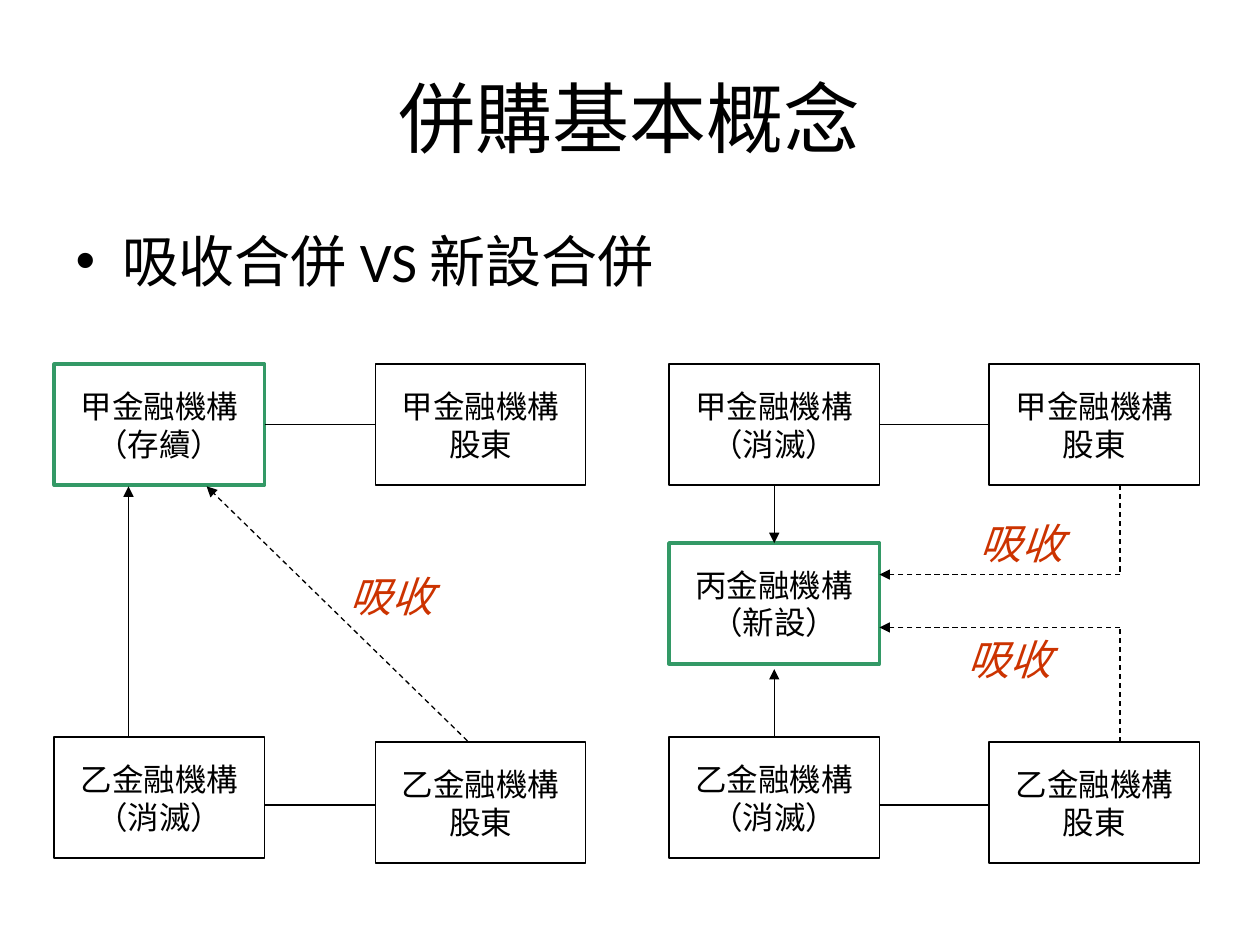
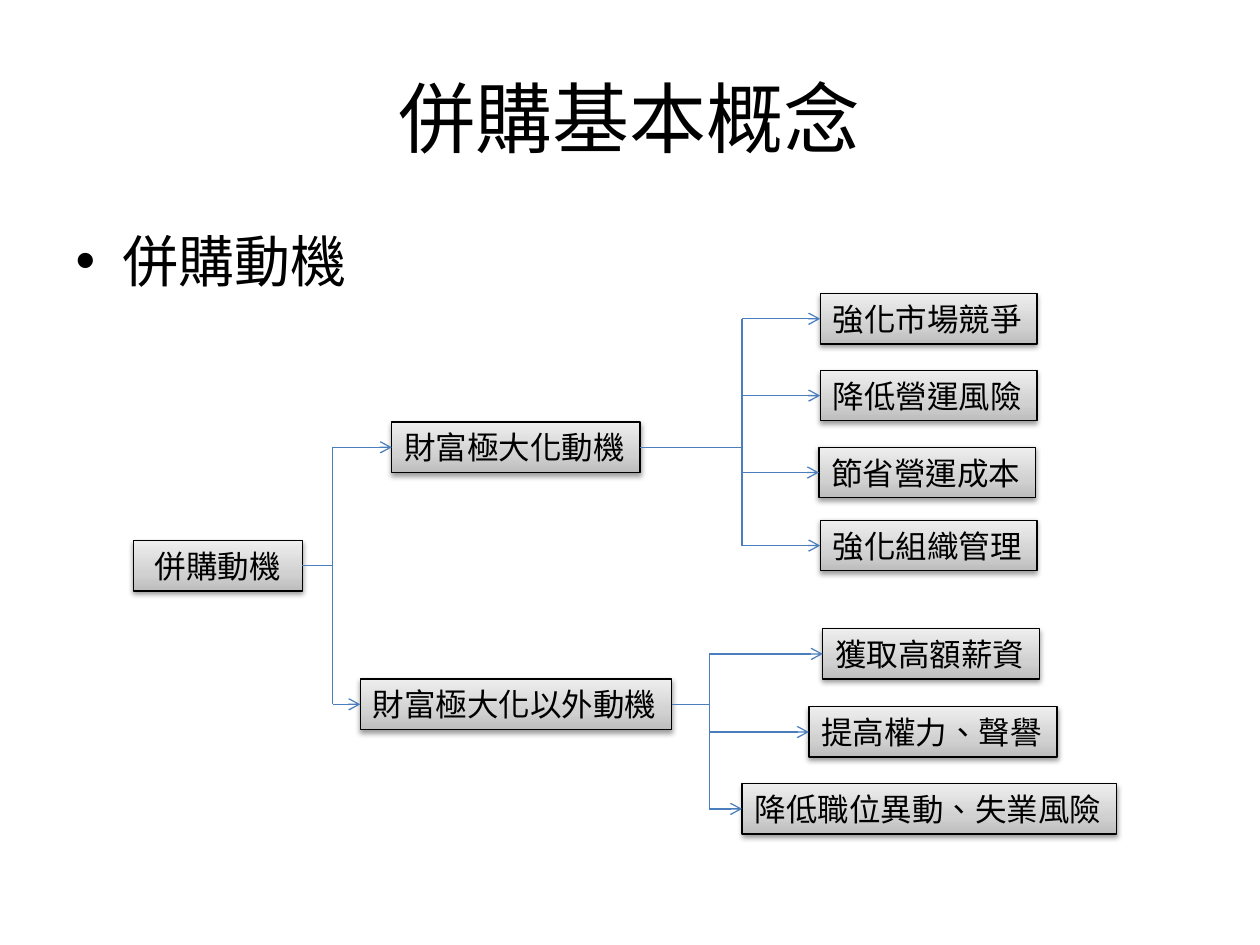
from dataclasses import dataclass

from lxml.etree import SubElement
from pptx import Presentation
from pptx.dml.color import RGBColor
from pptx.enum.dml import MSO_LINE
from pptx.enum.shapes import MSO_CONNECTOR, MSO_SHAPE
from pptx.enum.text import MSO_ANCHOR, MSO_AUTO_SIZE, PP_ALIGN
from pptx.oxml.ns import qn
from pptx.util import Inches, Pt


@dataclass(frozen=True)
class Theme:
    ink: str = "000000"
    paper: str = "FFFFFF"
    survivor: str = "339966"
    absorb: str = "CC3300"
    branch: str = "4B7EBC"
    gradient: tuple = ((0, "BDBDBD"), (35, "D1D1D1"), (100, "EEEEEE"))
    font: str = "Calibri"
    diagram_font: str = "Noto Sans CJK SC"
    language: str = "zh-TW"
    title_size: int = 44
    body_size: int = 32
    label_size: int = 24
    box_size: int = 18
    thin: float = 0.75
    thick: float = 2


@dataclass(frozen=True)
class Joint:
    box: object
    side: int


THEME = Theme()
TOP, LEFT, BOTTOM, RIGHT = range(4)
WIDTH, HEIGHT = Inches(10), Inches(7.5)
COLUMNS, ROWS = 100, 75
BOX_WIDTH, BOX_HEIGHT = 16.7, 9.6
LABEL_WIDTH, LABEL_HEIGHT = 9.3, 3.4
NODE_HEIGHT = 4
SHARED_TITLE = "併購基本概念"


def across(columns):
    return round(WIDTH * columns / COLUMNS)


def down(rows):
    return round(HEIGHT * rows / ROWS)


def frame(left, top, width, height):
    return across(left), down(top), across(width), down(height)


def color(value):
    return RGBColor.from_string(value)


def write(text_frame, text, size, font=THEME.font, ink=THEME.ink,
          align=None, italic=None, wrap=True):
    text_frame.word_wrap = wrap
    for index, line in enumerate(text.split("\n")):
        para = text_frame.paragraphs[0] if index == 0 else text_frame.add_paragraph()
        para.alignment = align
        para.space_before = Pt(0)
        span = para.add_run()
        span.text = line
        span.font.size = Pt(size)
        span.font.name = font
        span.font.italic = italic
        span.font.color.rgb = color(ink)
        span.font._element.set("lang", THEME.language)
        SubElement(span.font._element, qn("a:ea"), typeface=THEME.font)


def add_page(deck, topic):
    page = deck.slides.add_slide(deck.slide_layouts[1])
    title, body = page.placeholders
    for holder, place in ((title, (5, 3, 90, 12.5)), (body, (5, 17.5, 90, 49.5))):
        holder.left, holder.top, holder.width, holder.height = frame(*place)
    write(title.text_frame, SHARED_TITLE, THEME.title_size, align=PP_ALIGN.CENTER)
    write(body.text_frame, topic, THEME.body_size)
    return page


def add_rectangle(page, place, line=THEME.ink, weight=THEME.thin):
    box = page.shapes.add_shape(MSO_SHAPE.RECTANGLE, *frame(*place))
    box.shadow.inherit = False
    box.line.color.rgb = color(line)
    box.line.width = Pt(weight)
    return box


def add_party(page, text, left, top, survives=False):
    outline = (THEME.survivor, THEME.thick) if survives else (THEME.ink, THEME.thin)
    box = add_rectangle(page, (left, top, BOX_WIDTH, BOX_HEIGHT), *outline)
    box.fill.solid()
    box.fill.fore_color.rgb = color(THEME.paper)
    write(box.text_frame, text, THEME.box_size, font=THEME.diagram_font,
          align=PP_ALIGN.CENTER, wrap=False)
    return box


def add_label(page, text, left, top):
    box = page.shapes.add_textbox(*frame(left, top, LABEL_WIDTH, LABEL_HEIGHT))
    box.text_frame.vertical_anchor = MSO_ANCHOR.MIDDLE
    box.text_frame.margin_left = box.text_frame.margin_right = 0
    write(box.text_frame, text, THEME.label_size, font=THEME.diagram_font,
          ink=THEME.absorb, align=PP_ALIGN.CENTER, italic=True, wrap=False)


def shade(box):
    box.fill.gradient()
    box.fill.gradient_angle = 90
    properties = box._element.spPr
    stops = properties.find(qn("a:gradFill")).find(qn("a:gsLst"))
    for stop in list(stops):
        stops.remove(stop)
    for position, value in THEME.gradient:
        stop = SubElement(stops, qn("a:gs"), pos=str(position * 1000))
        SubElement(stop, qn("a:srgbClr"), val=value)
    shadow = SubElement(properties.find(qn("a:effectLst")), qn("a:outerShdw"),
                        blurRad=str(Pt(3.1)), dist=str(Pt(1.6)),
                        dir="5400000", rotWithShape="0")
    tint = SubElement(shadow, qn("a:srgbClr"), val=THEME.ink)
    SubElement(tint, qn("a:alpha"), val="38000")


def add_node(page, text, left, top, width=None):
    hugging = width is None
    width = 2.2 + 2.5 * len(text) if hugging else width
    box = add_rectangle(page, (left, top, width, NODE_HEIGHT))
    shade(box)
    box.text_frame.auto_size = MSO_AUTO_SIZE.SHAPE_TO_FIT_TEXT
    write(box.text_frame, text, THEME.box_size, wrap=not hugging,
          align=PP_ALIGN.LEFT if hugging else PP_ALIGN.CENTER)
    return box


def connect(page, start, end, ink=THEME.ink, head=None, dashed=False):
    points = [(0, 0) if isinstance(point, Joint) else (across(point[0]), down(point[1]))
              for point in (start, end)]
    link = page.shapes.add_connector(MSO_CONNECTOR.STRAIGHT, *points[0], *points[1])
    if isinstance(start, Joint):
        link.begin_connect(start.box, start.side)
    if isinstance(end, Joint):
        link.end_connect(end.box, end.side)
    link.line.color.rgb = color(ink)
    link.line.width = Pt(THEME.thin)
    if dashed:
        link.line.dash_style = MSO_LINE.DASH
    properties = link._element.spPr
    if head:
        SubElement(properties.find(qn("a:ln")), qn("a:tailEnd"), type=head)
    SubElement(properties, qn("a:effectLst"))


def add_branch(page, parent, parent_middle, children, trunk):
    nodes = [(add_node(page, *child), child[2] + NODE_HEIGHT / 2) for child in children]
    connect(page, Joint(parent, RIGHT), (trunk, parent_middle), ink=THEME.branch)
    connect(page, (trunk, nodes[0][1]), (trunk, nodes[-1][1]), ink=THEME.branch)
    for node, middle in nodes:
        connect(page, (trunk, middle), Joint(node, LEFT), ink=THEME.branch, head="arrow")
    return nodes


def add_merger_side(page, left, holder_left, first_status, first_survives=False):
    upper, lower, lower_holder = 28.9, 58.5, 58.9
    first = add_party(page, "甲金融機構\n" + first_status, left, upper, first_survives)
    second = add_party(page, "乙金融機構\n（消滅）", left, lower)
    first_holder = add_party(page, "甲金融機構\n股東", holder_left, upper)
    add_party(page, "乙金融機構\n股東", holder_left, lower_holder)
    connect(page, Joint(first, RIGHT), Joint(first_holder, LEFT))
    connect(page, (left + BOX_WIDTH, 63.9), (holder_left, 63.9))
    return first, second


def add_merger_page(deck):
    page = add_page(deck, "吸收合併 VS 新設合併")

    add_merger_side(page, 4.3, 29.8, "（存續）", first_survives=True)
    connect(page, (10.2, 58.5), (10.2, 38.6), head="triangle")
    connect(page, (37.1, 58.8), (16.4, 38.6), head="triangle", dashed=True)
    add_label(page, "吸收", 26.4, 45.6)

    first, second = add_merger_side(page, 53.1, 78.5, "（消滅）")
    founded = add_party(page, "丙金融機構\n（新設）", 53.1, 43.1, survives=True)
    connect(page, Joint(first, BOTTOM), Joint(founded, TOP), head="triangle")
    connect(page, Joint(second, TOP), (61.45, 53.1), head="triangle")
    for holder_edge, turn in ((38.5, 45.6), (58.9, 49.8)):
        connect(page, (88.9, holder_edge), (88.9, turn), dashed=True)
        connect(page, (88.9, turn), (69.8, turn), head="triangle", dashed=True)
    add_label(page, "吸收", 76.4, 41.4)
    add_label(page, "吸收", 75.5, 50.6)


def add_motive_page(deck):
    page = add_page(deck, "併購動機")
    root = add_node(page, "併購動機", 10.6, 42.9, width=13.4)
    motives = add_branch(page, root, 44.9, (
        ("財富極大化動機", 31.1, 33.5),
        ("財富極大化以外動機", 28.6, 53.9),
    ), trunk=26.4)
    wealth, other = motives
    add_branch(page, *wealth, (
        ("強化市場競爭", 65.1, 23.3),
        ("降低營運風險", 65.1, 29.4),
        ("節省營運成本", 65, 35.5),
        ("強化組織管理", 65.1, 41.3),
    ), trunk=58.9)
    add_branch(page, *other, (
        ("獲取高額薪資", 65.3, 49.9),
        ("提高權力、聲譽", 64.2, 56.1),
        ("降低職位異動、失業風險", 58.9, 62.2),
    ), trunk=56.3)


def main():
    deck = Presentation()
    deck.slide_width, deck.slide_height = WIDTH, HEIGHT
    add_merger_page(deck)
    add_motive_page(deck)
    deck.save("out.pptx")


if __name__ == "__main__":
    main()
